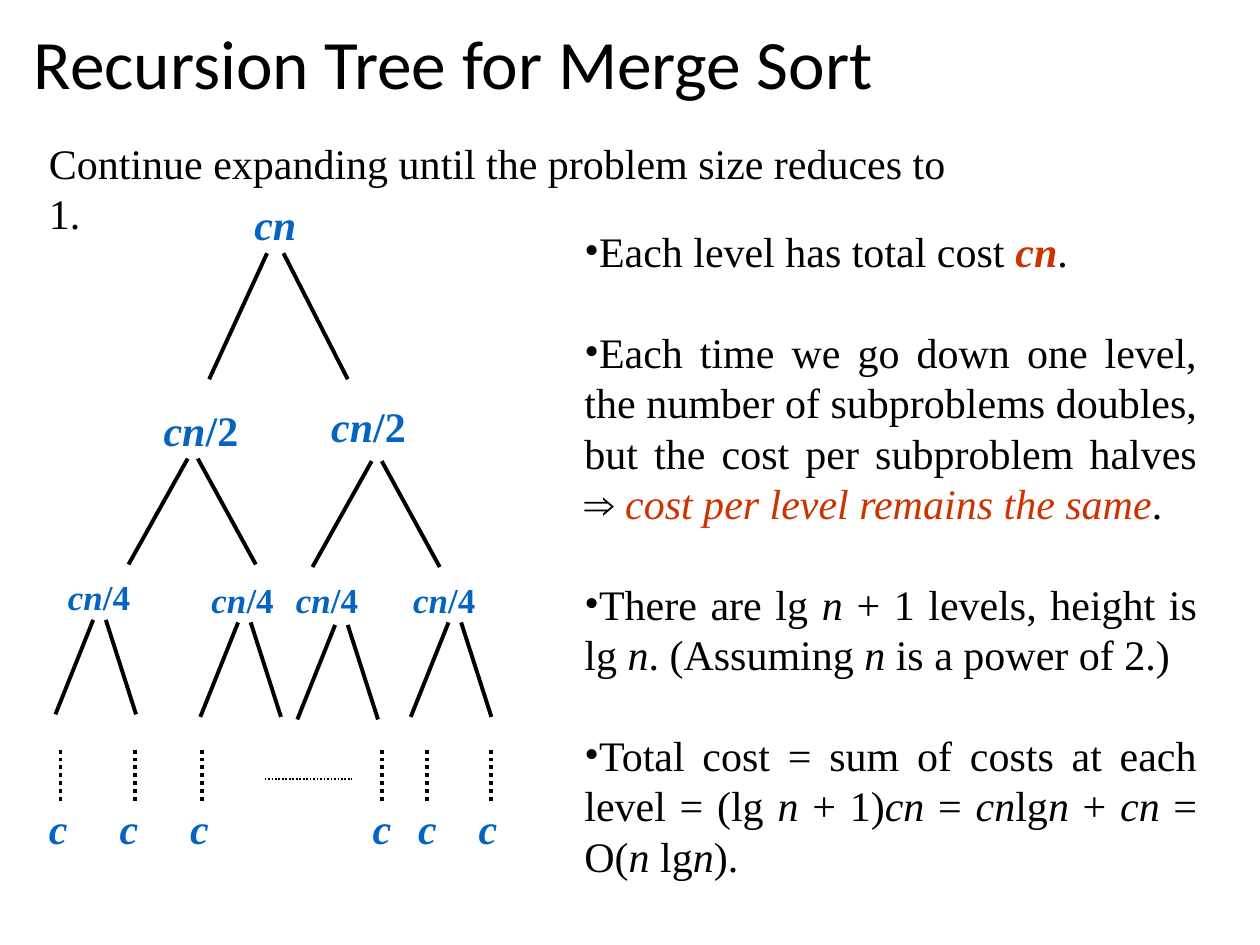
import pptx
import pptx.util
import pptx.dml.color
import pptx.enum.dml
import pptx.enum.shapes
import pptx.enum.text
from lxml import etree
from pptx.oxml.ns import qn

Inches = pptx.util.Inches
Pt = pptx.util.Pt
RGB = pptx.dml.color.RGBColor
ALIGN = pptx.enum.text.PP_ALIGN
ANCHOR = pptx.enum.text.MSO_ANCHOR

BLACK = RGB(0x00, 0x00, 0x00)
BLUE = RGB(0x05, 0x63, 0xC1)
RED = RGB(0xCC, 0x33, 0x00)
SERIF = "Times New Roman"


class Board:
    """Holds the text style and the current slide."""

    def __init__(self, slide):
        self.slide = slide
        self.font = SERIF

    def box(self, x, y, w, h, wrap=True):
        frame = self.slide.shapes.add_textbox(
            Inches(x), Inches(y), Inches(w), Inches(h)).text_frame
        frame.word_wrap = wrap
        return frame

    def style(self, run, size, color=BLACK, bold=False, italic=False, face=None):
        font = run.font
        font.name = face or self.font
        font.size = Pt(size)
        font.color.rgb = color
        font.bold = bold
        font.italic = italic

    def text(self, words, x, y, w, h, size, face=None):
        frame = self.box(x, y, w, h)
        frame.text = words
        self.style(frame.paragraphs[0].runs[0], size, face=face)
        return frame

    def label(self, name, part, x, y, w, h, size):
        """Cost of a node: italic name, upright divisor."""
        para = self.box(x, y, w, h, wrap=False).paragraphs[0]
        for words, slant in ((name, True), (part, False)):
            if words:
                run = para.add_run()
                run.text = words
                self.style(run, size, BLUE, True, slant)

    def line(self, x1, y1, x2, y2, width=2.25, dots=False):
        line = self.slide.shapes.add_connector(
            pptx.enum.shapes.MSO_CONNECTOR.STRAIGHT,
            Inches(x1), Inches(y1), Inches(x2), Inches(y2))
        line.line.color.rgb = BLACK
        line.line.width = Pt(width)
        if dots:
            line.line.dash_style = pptx.enum.dml.MSO_LINE.ROUND_DOT
        etree.SubElement(line._element.spPr, qn("a:effectLst"))

    def fork(self, x, y, gap, left, right, drop):
        """Two branches going down from a node."""
        self.line(x, y, x - left, y + drop)
        self.line(x + gap, y, x + gap + right, y + drop)

    def points(self, items, x, y, w, h, size, space):
        frame = self.box(x, y, w, h)
        for i, parts in enumerate(items):
            para = frame.paragraphs[0] if i == 0 else frame.add_paragraph()
            para.alignment = ALIGN.JUSTIFY
            if i:
                para.space_before = Pt(space)
            props = para._p.get_or_add_pPr()
            etree.SubElement(props, qn("a:buFont")).set("typeface", self.font)
            etree.SubElement(props, qn("a:buChar")).set("char", "•")
            para.font.size = Pt(size)
            for words, color, bold, italic in parts:
                run = para.add_run()
                run.text = words
                self.style(run, size, color, bold, italic)


def plain(words):
    return words, BLACK, False, False


def var(words):
    return words, BLACK, False, True


POINTS = [
    [plain("Each level has total cost "), ("cn", RED, True, True), plain(".")],
    [plain("Each time we go down one level, the number of subproblems doubles, "
           "but the cost per subproblem halves ⇒ "),
     ("cost per level remains the same", RED, False, True), plain(".")],
    [plain("There are lg "), var("n"), plain(" + 1 levels, height is lg "),
     var("n"), plain(". (Assuming "), var("n"), plain(" is a power of 2.)")],
    [plain("Total cost = sum of costs at each level = (lg "), var("n"),
     plain(" + 1)"), var("cn"), plain(" = "), var("cn"), plain("lg"), var("n"),
     plain(" + "), var("cn"), plain(" = O("), var("n "), plain("lg"), var("n"),
     plain(").")],
]


def main():
    deck = pptx.Presentation()
    deck.slide_width, deck.slide_height = Inches(10), Inches(7.5)
    board = Board(deck.slides.add_slide(deck.slide_layouts[6]))

    # Title and intro
    title = board.text("Recursion Tree for Merge Sort",
                       0.17, 0.16, 9.62, 0.74, 39.6, "Calibri")
    title.vertical_anchor = ANCHOR.MIDDLE
    title.paragraphs[0].line_spacing = 0.9
    board.text("Continue expanding until the problem size reduces to 1.",
               0.29, 1.04, 7.64, 0.5, 24)

    # Root
    board.label("cn", "", 1.92, 1.53, 0.55, 0.5, 24)
    board.fork(2.12, 2.01, 0.13, 0.46, 0.51, 1)

    # Halves
    for x, y in ((1.2, 3.16), (2.53, 3.13)):
        board.label("cn", "/2", x, y, 0.85, 0.5, 24)
    for x, y in ((1.49, 3.64), (2.95, 3.66)):
        board.fork(x, y, 0.08, 0.47, 0.46, 0.84)

    # Quarters
    for x, y in ((0.44, 4.52), (1.58, 4.54), (2.25, 4.54), (3.18, 4.54)):
        board.label("cn", "/4", x, y, 0.75, 0.43, 20)
    for x, y in ((0.74, 4.92), (1.89, 4.94), (2.66, 4.96), (3.56, 4.94)):
        board.fork(x, y, 0.1, 0.3, 0.24, 0.75)

    # Dots down to the leaves
    for x in (0.48, 1.07, 1.6, 3.03, 3.39, 3.9):
        board.line(x, 5.95, x, 6.38, dots=True)
    board.line(2.1, 6.18, 2.79, 6.18, 1, dots=True)
    for x in (0.29, 0.85, 1.41, 2.86, 3.22, 3.7):
        board.label("c", "", x, 6.32, 0.35, 0.5, 24)

    # Remarks
    board.points(POINTS, 4.54, 1.74, 5.06, 5.35, 24, 28.8)

    deck.save("out.pptx")


if __name__ == "__main__":
    main()
